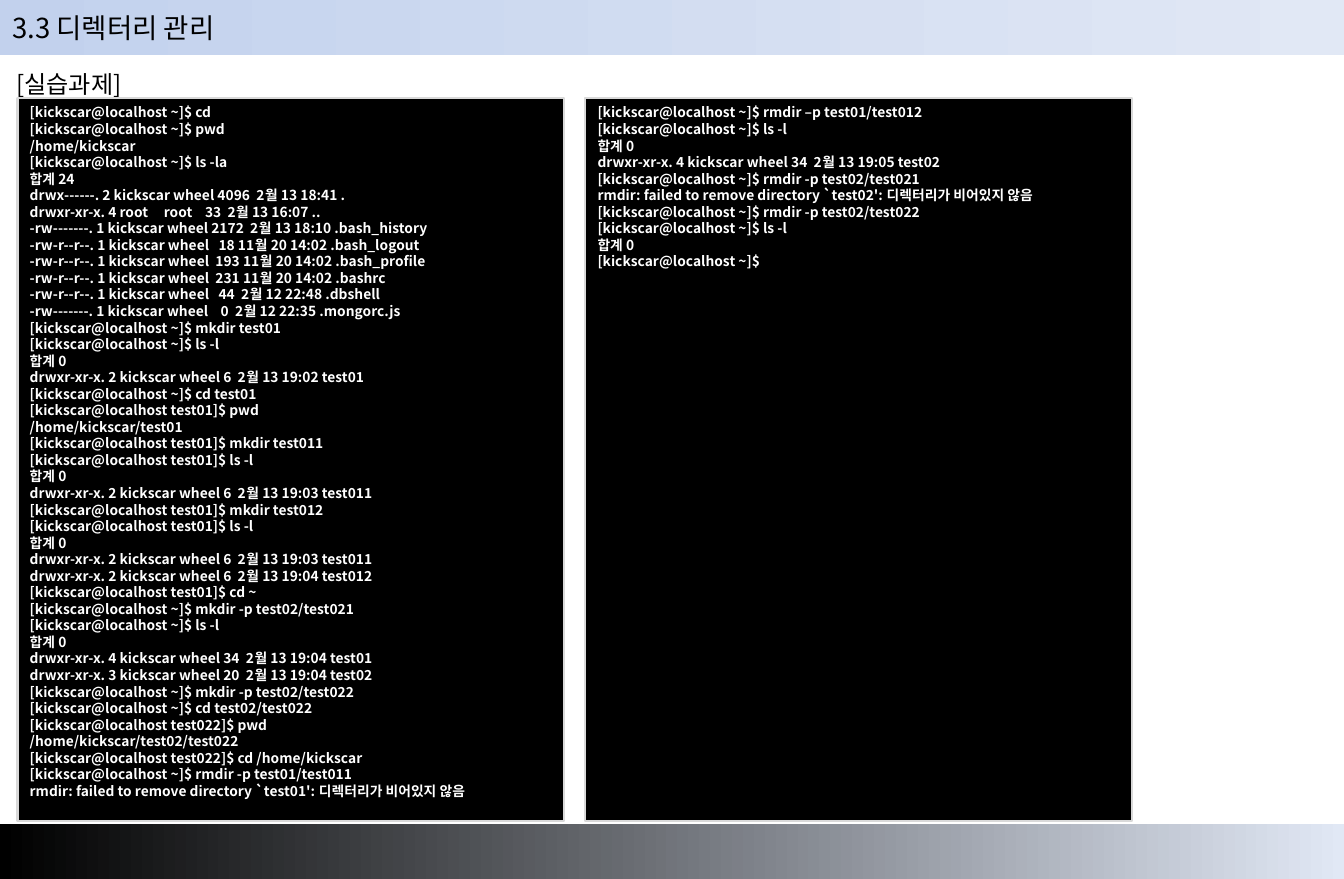
from dataclasses import dataclass

from lxml.etree import SubElement
from pptx import Presentation
from pptx.dml.color import RGBColor as Rgb
from pptx.enum.shapes import MSO_SHAPE as Preset
from pptx.enum.text import MSO_ANCHOR as Anchor, MSO_AUTO_SIZE as AutoSize, PP_ALIGN as Align
from pptx.oxml.ns import qn
from pptx.util import Cm, Pt

TITLE = "3.3 디렉터리 관리"
HEADING = "[실습과제]"
SESSIONS = [
    [
        "[kickscar@localhost ~]$ cd",
        "[kickscar@localhost ~]$ pwd",
        "/home/kickscar",
        "[kickscar@localhost ~]$ ls -la",
        "합계 24",
        "drwx------. 2 kickscar wheel 4096  2월 13 18:41 .",
        "drwxr-xr-x. 4 root     root    33  2월 13 16:07 ..",
        "-rw-------. 1 kickscar wheel 2172  2월 13 18:10 .bash_history",
        "-rw-r--r--. 1 kickscar wheel   18 11월 20 14:02 .bash_logout",
        "-rw-r--r--. 1 kickscar wheel  193 11월 20 14:02 .bash_profile",
        "-rw-r--r--. 1 kickscar wheel  231 11월 20 14:02 .bashrc",
        "-rw-r--r--. 1 kickscar wheel   44  2월 12 22:48 .dbshell",
        "-rw-------. 1 kickscar wheel    0  2월 12 22:35 .mongorc.js",
        "[kickscar@localhost ~]$ mkdir test01",
        "[kickscar@localhost ~]$ ls -l",
        "합계 0",
        "drwxr-xr-x. 2 kickscar wheel 6  2월 13 19:02 test01",
        "[kickscar@localhost ~]$ cd test01",
        "[kickscar@localhost test01]$ pwd",
        "/home/kickscar/test01",
        "[kickscar@localhost test01]$ mkdir test011",
        "[kickscar@localhost test01]$ ls -l",
        "합계 0",
        "drwxr-xr-x. 2 kickscar wheel 6  2월 13 19:03 test011",
        "[kickscar@localhost test01]$ mkdir test012",
        "[kickscar@localhost test01]$ ls -l",
        "합계 0",
        "drwxr-xr-x. 2 kickscar wheel 6  2월 13 19:03 test011",
        "drwxr-xr-x. 2 kickscar wheel 6  2월 13 19:04 test012",
        "[kickscar@localhost test01]$ cd ~",
        "[kickscar@localhost ~]$ mkdir -p test02/test021",
        "[kickscar@localhost ~]$ ls -l",
        "합계 0",
        "drwxr-xr-x. 4 kickscar wheel 34  2월 13 19:04 test01",
        "drwxr-xr-x. 3 kickscar wheel 20  2월 13 19:04 test02",
        "[kickscar@localhost ~]$ mkdir -p test02/test022",
        "[kickscar@localhost ~]$ cd test02/test022",
        "[kickscar@localhost test022]$ pwd",
        "/home/kickscar/test02/test022",
        "[kickscar@localhost test022]$ cd /home/kickscar",
        "[kickscar@localhost ~]$ rmdir -p test01/test011",
        "rmdir: failed to remove directory `test01': 디렉터리가 비어있지 않음",
    ],
    [
        "[kickscar@localhost ~]$ rmdir –p test01/test012",
        "[kickscar@localhost ~]$ ls -l",
        "합계 0",
        "drwxr-xr-x. 4 kickscar wheel 34  2월 13 19:05 test02",
        "[kickscar@localhost ~]$ rmdir -p test02/test021",
        "rmdir: failed to remove directory `test02': 디렉터리가 비어있지 않음",
        "[kickscar@localhost ~]$ rmdir -p test02/test022",
        "[kickscar@localhost ~]$ ls -l",
        "합계 0",
        "[kickscar@localhost ~]$",
    ],
]


@dataclass(frozen=True)
class Theme:
    font: str = "Noto Sans CJK KR"
    black: Rgb = Rgb(0x00, 0x00, 0x00)
    white: Rgb = Rgb(0xFF, 0xFF, 0xFF)
    border: Rgb = Rgb(0xD9, 0xD9, 0xD9)
    pale: Rgb = Rgb(0xE1, 0xE8, 0xF5)
    blue: Rgb = Rgb(0xC2, 0xD1, 0xED)
    title_size: Pt = Pt(16)
    heading_size: Pt = Pt(14)
    terminal_size: Pt = Pt(8)


THEME = Theme()
SLIDE_WIDTH, SLIDE_HEIGHT = Cm(27.53), Cm(18.01)
BAND_HEIGHT = Cm(1.12)
PANEL_LEFT, PANEL_TOP = Cm(0.36), Cm(2.01)
PANEL_WIDTH, PANEL_HEIGHT = Cm(11.2), Cm(14.81)
PANEL_GAP = Cm(0.43)


def place(shape, left, top, width, height):
    shape.left, shape.top, shape.width, shape.height = left, top, width, height


def write(shape, text, *, size, color=THEME.black, bold=False, align=Align.LEFT,
          anchor=Anchor.TOP, line_spacing=1.0):
    """Fill the shape with one unbulleted paragraph per line of text."""
    frame = shape.text_frame
    frame.text = text
    frame.word_wrap = True
    frame.auto_size = AutoSize.NONE
    frame.vertical_anchor = anchor
    for paragraph in frame.paragraphs:
        paragraph.alignment = align
        paragraph.space_before = Pt(0)
        paragraph.line_spacing = line_spacing
        properties = paragraph._p.get_or_add_pPr()
        properties.set("marL", "0")
        properties.set("indent", "0")
        SubElement(properties, qn("a:buNone"))
        for run in paragraph.runs:
            font = run.font
            font.size, font.bold, font.name = size, bold, THEME.font
            font.color.rgb = color
            SubElement(font._element, qn("a:ea")).set("typeface", THEME.font)


def add_band(slide, top, left_color):
    """Add a full-width strip, behind the text, that fades to pale at the right."""
    band = slide.shapes.add_shape(Preset.RECTANGLE, 0, top, SLIDE_WIDTH, BAND_HEIGHT)
    band.shadow.inherit = False
    band.line.fill.background()
    band.fill.gradient()
    band.fill.gradient_angle = 180
    for stop, color in zip(band.fill.gradient_stops, (THEME.pale, left_color)):
        stop.color.rgb = color
    band.element.getparent().insert(2, band.element)


def add_terminal(slide, column, session):
    left = PANEL_LEFT + column * (PANEL_WIDTH + PANEL_GAP)
    panel = slide.shapes.add_shape(Preset.RECTANGLE, left, PANEL_TOP, PANEL_WIDTH, PANEL_HEIGHT)
    panel.shadow.inherit = False
    panel.fill.solid()
    panel.fill.fore_color.rgb = THEME.black
    panel.line.color.rgb = THEME.border
    panel.line.width = Pt(1.25)
    write(panel, "\n".join(session), size=THEME.terminal_size, color=THEME.white, bold=True,
          align=Align.JUSTIFY, line_spacing=Pt(9.6))


def main():
    presentation = Presentation()
    presentation.slide_width, presentation.slide_height = SLIDE_WIDTH, SLIDE_HEIGHT
    slide = presentation.slides.add_slide(presentation.slide_layouts[1])
    title, heading = slide.placeholders

    add_band(slide, 0, THEME.blue)
    add_band(slide, SLIDE_HEIGHT - BAND_HEIGHT, THEME.black)

    place(title, 0, Cm(0.1), Cm(27.48), Cm(0.94))
    write(title, TITLE, size=THEME.title_size, anchor=Anchor.MIDDLE)
    place(heading, Cm(0.08), Cm(1.19), Cm(27.36), Cm(15.6))
    write(heading, HEADING, size=THEME.heading_size, line_spacing=Pt(20))

    for column, session in enumerate(SESSIONS):
        add_terminal(slide, column, session)
    presentation.save("out.pptx")


if __name__ == "__main__":
    main()
